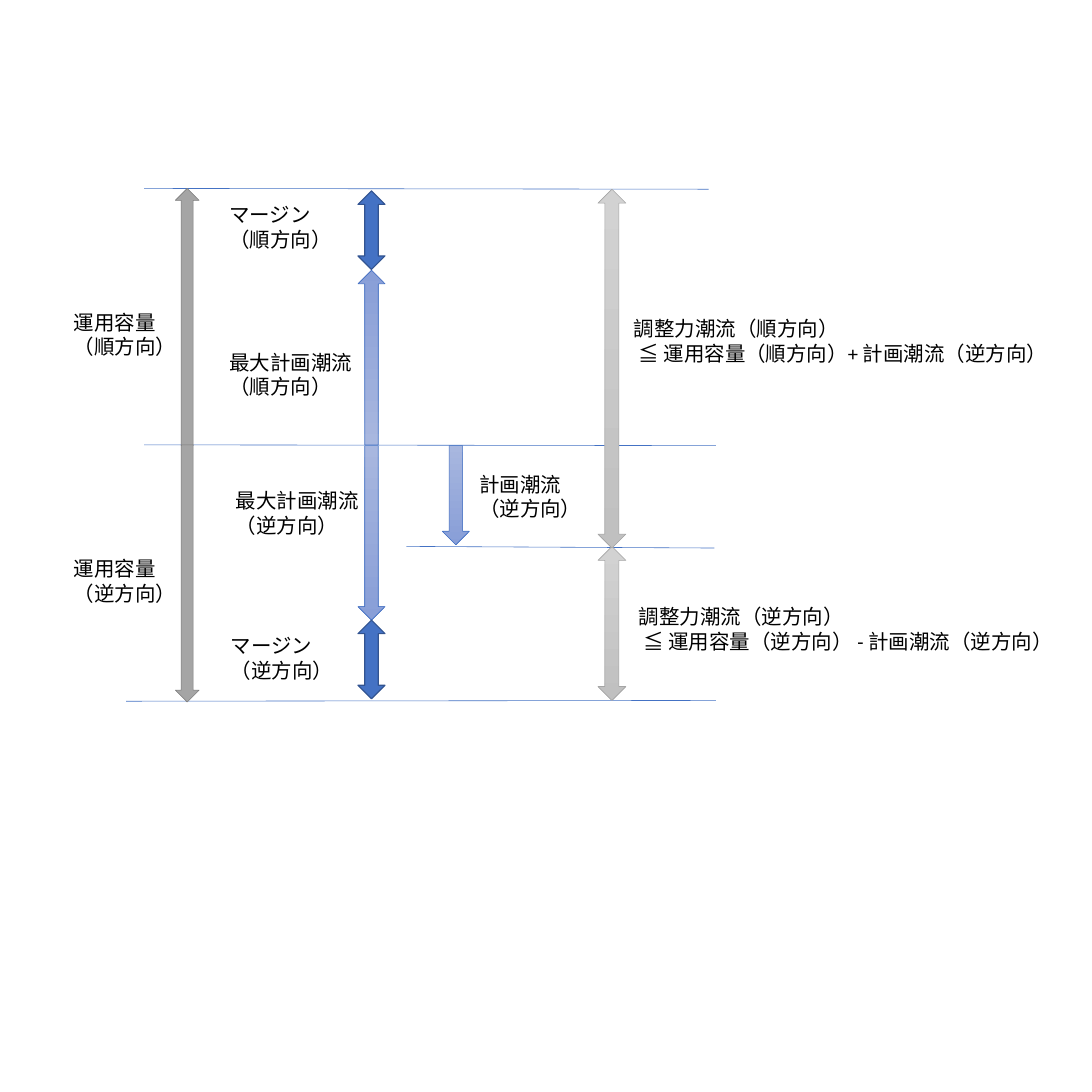
"""Draw the interconnector capacity diagram with margins, planned flows and balancing flows."""
from lxml import etree
from pptx import Presentation, util as u
from pptx.dml.color import RGBColor
from pptx.enum import shapes, text
from pptx.oxml.ns import qn

PX = 9144
HEX = {
    "blue": "4472C4", "navy": "325491", "gray": "A5A5A5", "dark": "7C7C7C",
    "sky": "A8B7DF", "dusk": "889ED7", "pale": "D2D2D2", "ash": "C0C0C0",
    "black": "000000",
}


def px(*nums):
    return [u.Emu(n * PX) for n in nums]


def rgb(name):
    return RGBColor.from_string(HEX[name])


deck = Presentation()
deck.slide_width, deck.slide_height = px(1333, 1333)
slide = deck.slides.add_slide(deck.slide_layouts[6])

levels = [
    (176, 230, 865, 231),
    (176, 543, 874, 544),
    (496, 667, 872, 669),
    (154, 856, 874, 855),
]
for ends in levels:
    line = slide.shapes.add_connector(shapes.MSO_CONNECTOR.STRAIGHT, *px(*ends))
    line.line.color.rgb = rgb("blue")
    line.line.width = u.Pt(0.5)
    etree.SubElement(line._element.spPr, qn("a:effectLst"))

BOTH = shapes.MSO_SHAPE.UP_DOWN_ARROW
DOWN = shapes.MSO_SHAPE.DOWN_ARROW
styles = {
    "room": (["gray"], "dark", 0.5),
    "margin": (["blue"], "navy", 1),
    "plan": (["sky", "dusk"], "blue", 0.5),
    "power": (["pale", "ash"], "gray", 0.5),
}
arrows = [
    ("power", BOTH, 730, 667, 34, 188, 0),
    ("power", BOTH, 730, 231, 34, 438, 0),
    ("plan", DOWN, 437, 544, 33, 213, 0),
    ("plan", DOWN, 437, 330, 33, 213, 180),
    ("plan", DOWN, 540, 544, 33, 121, 0),
    ("margin", BOTH, 437, 757, 33, 96, 0),
    ("margin", BOTH, 437, 233, 33, 96, 0),
    ("room", DOWN, 214, 230, 29, 314, 180),
    ("room", DOWN, 214, 543, 29, 314, 0),
]
for style, kind, x, y, w, h, turn in arrows:
    fills, edge, width = styles[style]
    arrow = slide.shapes.add_shape(kind, *px(x, y, w, h))
    arrow.shadow.inherit = False
    arrow.rotation = turn
    if len(fills) == 1:
        arrow.fill.solid()
        arrow.fill.fore_color.rgb = rgb(fills[0])
    else:
        arrow.fill.gradient()
        arrow.fill.gradient_angle = 270
        for stop, tint in zip(arrow.fill.gradient_stops, fills):
            stop.color.rgb = rgb(tint)
    arrow.line.color.rgb = rgb(edge)
    arrow.line.width = u.Pt(width)

labels = [
    (80, 373, 181, ["運用容量", "（順方向）"]),
    (80, 674, 181, ["運用容量", "（逆方向）"]),
    (270, 242, 181, ["マージン", "（順方向）"]),
    (270, 422, 181, ["最大計画潮流（順方向）"]),
    (278, 591, 181, ["最大計画潮流（逆方向）"]),
    (272, 768, 181, ["マージン", "（逆方向）"]),
    (575, 571, 154, ["計画潮流", "（逆方向）"]),
    (764, 381, 543, ["調整力潮流（順方向）", " ≦ 運用容量（順方向）+ 計画潮流（逆方向）"]),
    (770, 733, 543, ["調整力潮流（逆方向）", " ≦ 運用容量（逆方向） - 計画潮流（逆方向）"]),
]
for x, y, w, rows in labels:
    frame = slide.shapes.add_textbox(*px(x, y, w, 71)).text_frame
    frame.word_wrap = True
    frame.auto_size = text.MSO_AUTO_SIZE.SHAPE_TO_FIT_TEXT
    frame.text = "\n".join(rows)
    for para in frame.paragraphs:
        para.font.name = "Calibri"
        para.font.size = u.Pt(18)
        para.font.color.rgb = rgb("black")

deck.save("out.pptx")
